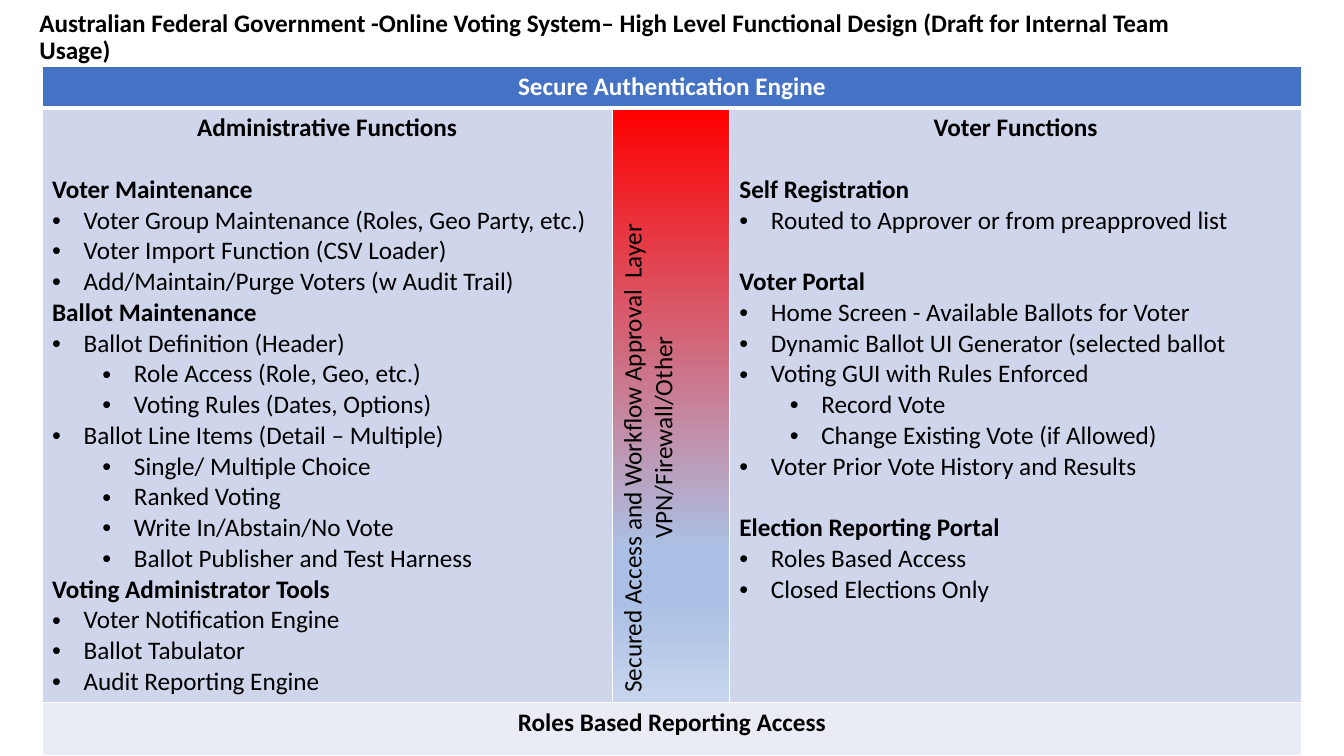
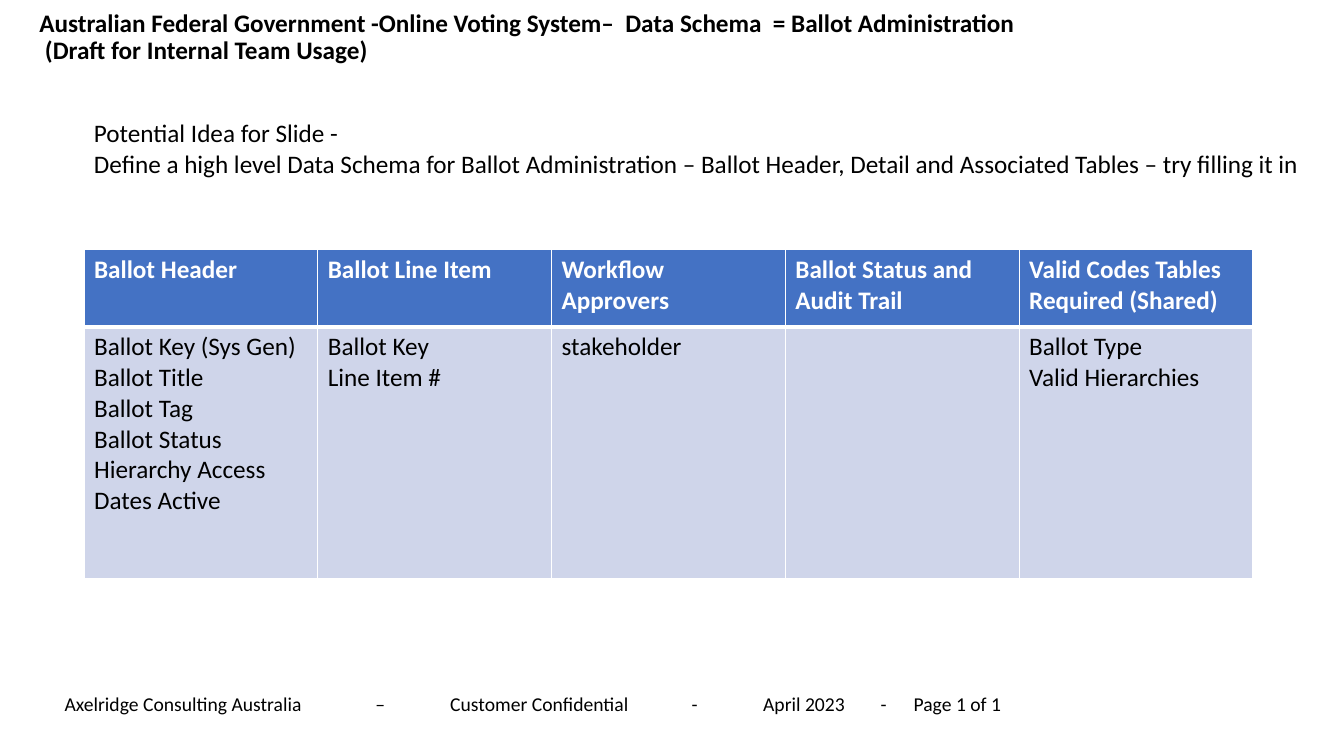
from lxml import etree
from pptx import Presentation
from pptx.dml.color import RGBColor
from pptx.enum.text import MSO_ANCHOR, PP_ALIGN
from pptx.oxml import parse_xml
from pptx.oxml.ns import nsdecls, qn
from pptx.util import Pt

CENTER, LEFT = PP_ALIGN.CENTER, PP_ALIGN.LEFT
MIDDLE, TOP = MSO_ANCHOR.MIDDLE, MSO_ANCHOR.TOP

COLORS = {
    "header": "4472C4",
    "body": "CFD5EA",
    "band": "E9EBF5",
    "text": "000000",
    "white": "FFFFFF",
    "secure": "FF0000",
    "open": "ABC0E4",
    "edge": "C7D5ED",
}
FONT = "Calibri"
LINE = 22  # height of one line of body text

TITLES = [
    "Australian Federal Government -Online Voting System– High Level "
    "Functional Design (Draft for Internal Team Usage)",
    "Australian Federal Government -Online Voting System–  Data Schema  "
    "= Ballot Administration\v (Draft for Internal Team Usage)",
]
FOOTER = ["Axelridge Consulting Australia", "–", "Customer Confidential", "-",
          "April 2023", "-", "Page 1 of 1"]
FOOTER_STOPS = [222, 275.5, 448, 499, 583, 606.5]
IDEA = ("Potential Idea for Slide -\nDefine a high level Data Schema for Ballot Administration – "
        "Ballot Header, Detail and Associated Tables – try filling it in")

# Each outline line: level (0 column title, 1 heading, 2 and 3 bullets), text, blank lines before
ADMIN = [
    (0, "Administrative Functions", 0),
    (1, "Voter Maintenance", 1),
    (2, "Voter Group Maintenance (Roles, Geo Party, etc.)", 0),
    (2, "Voter Import Function (CSV Loader)", 0),
    (2, "Add/Maintain/Purge Voters (w Audit Trail)", 0),
    (1, "Ballot Maintenance", 0),
    (2, "Ballot Definition (Header)", 0),
    (3, "Role Access (Role, Geo, etc.)", 0),
    (3, "Voting Rules (Dates, Options)", 0),
    (2, "Ballot Line Items (Detail – Multiple)", 0),
    (3, "Single/ Multiple Choice", 0),
    (3, "Ranked Voting", 0),
    (3, "Write In/Abstain/No Vote", 0),
    (3, "Ballot Publisher and Test Harness", 0),
    (1, "Voting Administrator Tools", 0),
    (2, "Voter Notification Engine", 0),
    (2, "Ballot Tabulator", 0),
    (2, "Audit Reporting Engine", 0),
]
VOTER = [
    (0, "Voter Functions", 0),
    (1, "Self Registration", 1),
    (2, "Routed to Approver or from preapproved list", 0),
    (1, "Voter Portal", 1),
    (2, "Home Screen - Available Ballots for Voter", 0),
    (2, "Dynamic Ballot UI Generator (selected ballot", 0),
    (2, "Voting GUI with Rules Enforced", 0),
    (3, "Record Vote", 0),
    (3, "Change Existing Vote (if Allowed)", 0),
    (2, "Voter Prior Vote History and Results", 0),
    (1, "Election Reporting Portal", 1),
    (2, "Roles Based Access", 0),
    (2, "Closed Elections Only", 0),
]
SCHEMA = [
    ("Ballot Header", "Ballot Key (Sys Gen)\nBallot Title\nBallot Tag\nBallot Status\n"
                      "Hierarchy Access\nDates Active"),
    ("Ballot Line Item", "Ballot Key\nLine Item #"),
    ("Workflow Approvers", "stakeholder"),
    ("Ballot Status and Audit Trail", ""),
    ("Valid Codes Tables Required (Shared)", "Ballot Type\nValid Hierarchies"),
]


def write(frame, text, size=18, bold=False, color="text", align=LEFT):
    frame.text = text
    for paragraph in frame.paragraphs:
        paragraph.alignment = align
        font = paragraph.font
        font.name, font.size, font.bold = FONT, Pt(size), bold
        font.color.rgb = RGBColor.from_string(COLORS[color])


def paint(cell, fill, bottom=1):
    """Give a cell white borders and a plain fill."""
    properties = cell._tc.get_or_add_tcPr()
    for side, width in (("L", 1), ("R", 1), ("T", 1), ("B", bottom)):
        properties.append(parse_xml(
            f'<a:ln{side} {nsdecls("a")} w="{Pt(width)}"><a:solidFill>'
            f'<a:srgbClr val="{COLORS["white"]}"/></a:solidFill></a:ln{side}>'))
    cell.fill.solid()
    cell.fill.fore_color.rgb = RGBColor.from_string(COLORS[fill])


prs = Presentation()
prs.slide_width, prs.slide_height = Pt(960), Pt(540)
design, schema = [prs.slides.add_slide(prs.slide_layouts[6]) for _ in TITLES]

# Titles, idea and footer
boxes = [(slide, (21, 6, 855, 42), title, 18, True, MIDDLE, 0.9)
         for slide, title in zip((design, schema), TITLES)]
boxes += [
    (schema, (60, 80.5, 891, 51), IDEA, 18, False, TOP, 1.0),
    (schema, (39, 483, 855, 42), "\t".join(FOOTER), 14, False, MIDDLE, 0.9),
]
for slide, place, text, size, bold, anchor, spacing in boxes:
    frame = slide.shapes.add_textbox(*map(Pt, place)).text_frame
    frame.word_wrap = True
    frame.vertical_anchor = anchor
    write(frame, text, size, bold)
    for paragraph in frame.paragraphs:
        paragraph.line_spacing = spacing

# The footer is the last box written
footer_properties = frame.paragraphs[0]._p.get_or_add_pPr()
tabs = etree.Element(qn("a:tabLst"))
for stop in FOOTER_STOPS:
    etree.SubElement(tabs, qn("a:tab"), pos=str(Pt(stop)), algn="l")
footer_properties.find(qn("a:defRPr")).addprevious(tabs)

# Functional design table
widths, heights = [407.5, 83.5, 409], [29.5, 425, 38]
functions = design.shapes.add_table(
    3, 3, Pt(30), Pt(47.5), Pt(sum(widths)), Pt(sum(heights))).table
for column, width in zip(functions.columns, widths):
    column.width = Pt(width)
for row, height in zip(functions.rows, heights):
    row.height = Pt(height)
for row, (fill, bottom) in enumerate((("header", 3), ("body", 1), ("band", 1))):
    for column in range(3):
        paint(functions.cell(row, column), fill, bottom)

for row, text, color in ((0, "Secure Authentication Engine", "white"),
                         (2, "Roles Based Reporting Access", "text")):
    band = functions.cell(row, 0)
    band.merge(functions.cell(row, 2))
    write(band.text_frame, text, bold=True, color=color, align=CENTER)

for column, outline in ((0, ADMIN), (2, VOTER)):
    frame = functions.cell(1, column).text_frame
    write(frame, "\n".join(text for _, text, _ in outline))
    for paragraph, (level, _, blanks) in zip(frame.paragraphs, outline):
        paragraph.font.bold = level < 2
        paragraph.space_before = Pt(blanks * LINE)
        if level == 0:
            paragraph.alignment = CENTER
        elif level > 1:
            paragraph.level = level - 2
            properties = paragraph._p.get_or_add_pPr()
            properties.set("marL", str(Pt(22.5 + 36 * paragraph.level)))
            properties.set("indent", str(Pt(-22.5)))
            defaults = properties.find(qn("a:defRPr"))
            for tag, key, value in (("a:buFont", "typeface", "Arial"), ("a:buChar", "char", "•")):
                bullet = etree.Element(qn(tag))
                bullet.set(key, value)
                defaults.addprevious(bullet)

# Security layer between the two columns
layer = functions.cell(1, 1)
write(layer.text_frame, "Secured Access and Workflow Approval  Layer\nVPN/Firewall/Other")
layer.text_frame.paragraphs[1]._p.get_or_add_pPr().set("marL", str(Pt(110)))
layer.vertical_anchor = MIDDLE
layer_properties = layer._tc.get_or_add_tcPr()
layer_properties.set("vert", "vert270")
layer.fill.gradient()
layer.fill.gradient_angle = 270
stops = layer_properties.find(qn("a:gradFill")).find(qn("a:gsLst"))
for stop in list(stops):
    stops.remove(stop)
for percent, name in ((0, "secure"), (74, "open"), (83, "open"), (100, "edge")):
    stop = etree.SubElement(stops, qn("a:gs"), pos=str(percent * 1000))
    etree.SubElement(stop, qn("a:srgbClr"), val=COLORS[name])

# Data schema table
entities = schema.shapes.add_table(
    2, len(SCHEMA), Pt(60), Pt(178.5), Pt(167 * len(SCHEMA)), Pt(235)).table
entities.rows[0].height, entities.rows[1].height = Pt(55), Pt(180)
for column, (entity, fields) in enumerate(SCHEMA):
    entities.columns[column].width = Pt(167)
    heading, body = entities.cell(0, column), entities.cell(1, column)
    paint(heading, "header", bottom=3)
    paint(body, "body")
    write(heading.text_frame, entity, bold=True, color="white")
    write(body.text_frame, fields)

prs.save("out.pptx")
